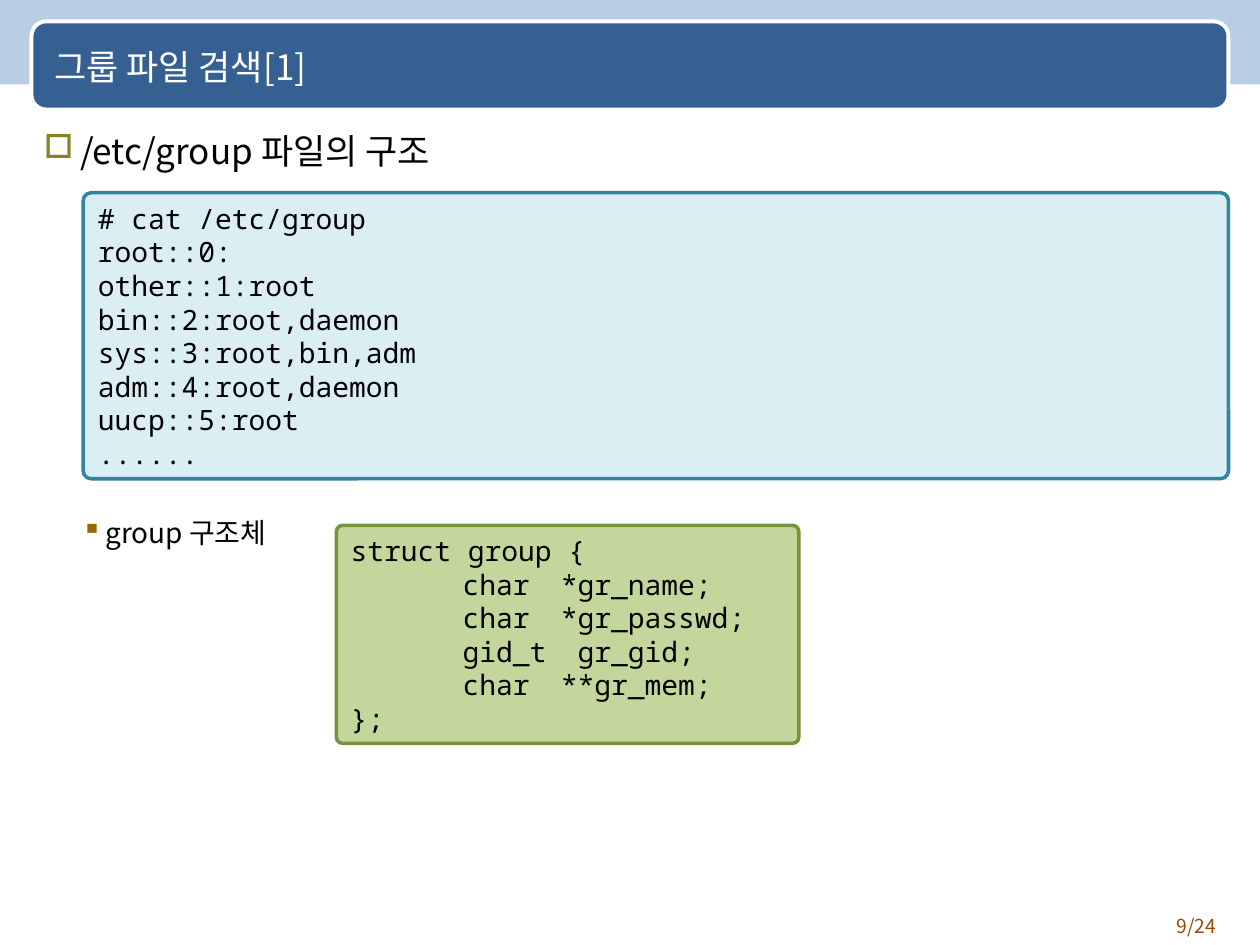
from lxml import etree
from pptx import Presentation
from pptx.enum import shapes, text
from pptx.dml.color import RGBColor
from pptx.oxml.ns import qn
from pptx.util import Inches, Pt

COLORS = {
    "band": "B9CDE5", "header": "376092", "white": "FFFFFF", "black": "000000",
    "page": "984807", "square": "888128", "dot": "996600",
    "shell_fill": "DBEEF4", "shell_line": "31859C",
    "struct_fill": "C3D69B", "struct_line": "77933C",
}
SANS, MONO = "Noto Sans CJK KR", "Noto Sans Mono"

prs = Presentation()
prs.slide_width, prs.slide_height = Inches(10), Inches(7.5)
slide = prs.slides.add_slide(prs.slide_layouts[5])


def write(shape, content, size=16, font=SANS, color="black", align="LEFT",
          anchor="TOP", bullet=None, indent=(0, 0), tabs=()):
    """Fill a shape with one paragraph per line; bullet is (char, color, percent)."""
    frame = shape.text_frame
    frame.word_wrap = True
    frame.vertical_anchor = text.MSO_ANCHOR[anchor]
    for i, line in enumerate(content.split("\n")):
        para = frame.paragraphs[0] if i == 0 else frame.add_paragraph()
        para.alignment = text.PP_ALIGN[align]
        props = para._p.get_or_add_pPr()
        if bullet:
            char, bullet_color, percent = bullet
            left, first = indent
            props.set("marL", str(Inches(left)))
            props.set("indent", str(Inches(first)))
            tint = etree.SubElement(props, qn("a:buClr"))
            etree.SubElement(tint, qn("a:srgbClr"), val=COLORS[bullet_color])
            etree.SubElement(props, qn("a:buSzPct"), val=str(percent * 1000))
            etree.SubElement(props, qn("a:buChar"), char=char)
        if tabs:
            stops = etree.SubElement(props, qn("a:tabLst"))
            for stop in tabs:
                etree.SubElement(stops, qn("a:tab"), pos=str(Inches(stop)), algn="l")
        run = para.add_run()
        run.text = line
        run.font.size = Pt(size)
        run.font.name = font
        run.font.color.rgb = RGBColor.from_string(COLORS[color])
        etree.SubElement(run._r.get_or_add_rPr(), qn("a:ea"), typeface=font)


def panel(kind, box, fill, line=None, width=2, corner=None):
    shape = slide.shapes.add_shape(kind, *map(Inches, box))
    shape.shadow.inherit = False
    shape.fill.solid()
    shape.fill.fore_color.rgb = RGBColor.from_string(COLORS[fill])
    if line:
        shape.line.color.rgb = RGBColor.from_string(COLORS[line])
        shape.line.width = Pt(width)
    else:
        shape.line.fill.background()
    if corner is not None:
        shape.adjustments[0] = corner
    return shape


# Header band and title
ROUND = shapes.MSO_SHAPE.ROUNDED_RECTANGLE
panel(shapes.MSO_SHAPE.RECTANGLE, (-0.01, 0, 10.02, 0.67), "band")
panel(ROUND, (0.25, 0.17, 9.5, 0.7), "header", "white", 2.25, 0.167)
title = slide.shapes.title
title.left, title.top, title.width, title.height = map(Inches, (0.33, 0.19, 9.25, 0.67))
write(title, "그룹 파일 검색[1]", size=20, color="white", anchor="MIDDLE")
slide.shapes._spTree.append(title._element)  # bring in front of the header

# Bulleted headings
file_heading = slide.shapes.add_textbox(*map(Inches, (0.25, 0.98, 9.5, 0.5)))
write(file_heading, "/etc/group 파일의 구조", size=20,
      bullet=("□", "square", 95), indent=(0.29, -0.29))
struct_heading = slide.shapes.add_textbox(*map(Inches, (0.25, 4.04, 2.4, 0.42)))
write(struct_heading, "group 구조체", bullet=("▪", "dot", 100), indent=(0.49, -0.19))

# Shell listing
shell = panel(ROUND, (0.66, 1.53, 9.09, 2.27), "shell_fill", "shell_line", corner=0.028)
write(shell, """# cat /etc/group
root::0:
other::1:root
bin::2:root,daemon
sys::3:root,bin,adm
adm::4:root,daemon
uucp::5:root
......""", font=MONO, align="JUSTIFY", anchor="MIDDLE")

# Struct definition
struct = panel(ROUND, (2.67, 4.17, 3.67, 1.73), "struct_fill", "struct_line", corner=0.028)
write(struct, """struct group {
\tchar\t*gr_name;
\tchar\t*gr_passwd;
\tgid_t\t gr_gid;
\tchar\t**gr_mem;
};""", font=MONO, anchor="MIDDLE", tabs=(0.89, 1.67))

# Page number
page = slide.shapes.add_textbox(*map(Inches, (8.92, 7.21, 0.83, 0.29)))
write(page, "9/24", size=11, color="page", align="RIGHT")

prs.save("out.pptx")
